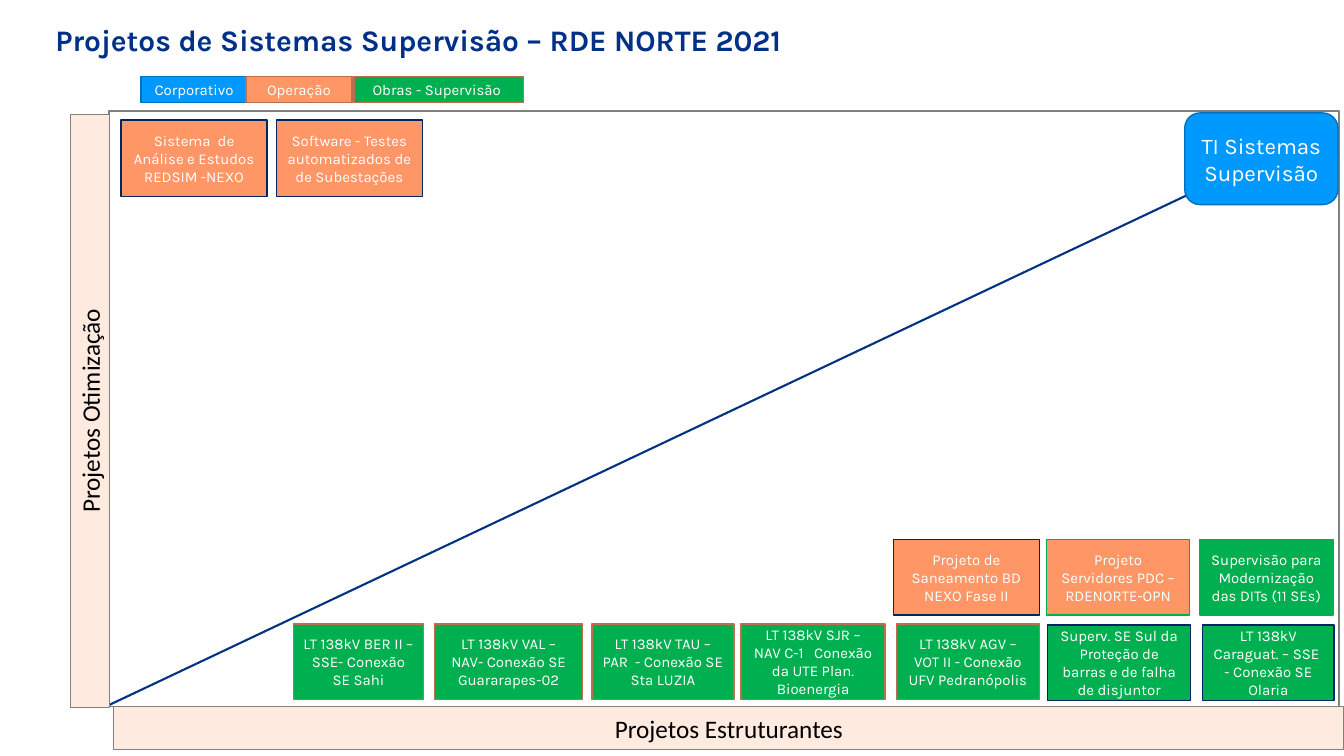
import pptx
import pptx.util
import pptx.dml.color
import pptx.enum.shapes
import pptx.enum.text
from dataclasses import dataclass
from lxml import etree
from pptx.util import Inches

SHAPE = pptx.enum.shapes.MSO_SHAPE
ALIGN = pptx.enum.text.PP_ALIGN
MIDDLE = pptx.enum.text.MSO_ANCHOR.MIDDLE


@dataclass(frozen=True)
class Theme:
    navy: str = "003087"
    diagonal: str = "003381"
    dark_navy: str = "002464"
    blue: str = "0099FF"
    blue_edge: str = "0071BD"
    orange: str = "FE9666"
    brown: str = "BC6F4B"
    green: str = "00B050"
    peach: str = "FFEAE0"
    gray: str = "808080"
    white: str = "FFFFFF"
    black: str = "000000"
    body_font: str = "Karla"
    axis_font: str = "Calibri"
    title_size: float = 21.3
    axis_size: float = 18
    topic_size: float = 16
    label_size: float = 10.7


THEME = Theme()


def color(value):
    return pptx.dml.color.RGBColor.from_string(value)


def write(shape, text, size, ink, font=THEME.body_font, bold=False,
          align=ALIGN.CENTER, insets=(0.1, 0.05), spacing=1.0):
    frame = shape.text_frame
    side, end = map(Inches, insets)
    layout = {"word_wrap": True, "vertical_anchor": MIDDLE, "margin_left": side,
              "margin_right": side, "margin_top": end, "margin_bottom": end}
    for name, value in layout.items():
        setattr(frame, name, value)
    para = frame.paragraphs[0]
    para.alignment = align
    para.line_spacing = spacing
    span = para.add_run()
    span.text = text
    for name, value in {"name": font, "size": pptx.util.Pt(size), "bold": bold}.items():
        setattr(span.font, name, value)
    span.font.color.rgb = color(ink)


def add_box(page, place, fill, line, width=1, kind=SHAPE.RECTANGLE):
    box = page.shapes.add_shape(kind, *map(Inches, place))
    box.shadow.inherit = False
    if fill:
        box.fill.solid()
        box.fill.fore_color.rgb = color(fill)
    else:
        box.fill.background()
    box.line.color.rgb = color(line)
    box.line.width = pptx.util.Pt(width)
    return box


def add_label(page, text, place, fill, line):
    write(add_box(page, place, fill, line), text, THEME.label_size, THEME.white)


def add_axis(page, text, place, rotation=0):
    box = add_box(page, place, THEME.peach, THEME.gray, 0.75)
    box.rotation = rotation
    write(box, text, THEME.axis_size, THEME.black, THEME.axis_font, insets=(0.08, 0.04))


def add_diagonal(page, start, end):
    line = page.shapes.add_connector(pptx.enum.shapes.MSO_CONNECTOR.STRAIGHT,
                                     *map(Inches, start + end))
    line.line.color.rgb = color(THEME.diagonal)
    line.line.width = pptx.util.Pt(1.5)
    etree.SubElement(line._element.spPr, pptx.oxml.ns.qn("a:effectLst"))


def add_title(page, text):
    box = page.shapes.add_textbox(*map(Inches, (0.45, 0.28, 11.09, 0.28)))
    write(box, text, THEME.title_size, THEME.navy, bold=True, align=ALIGN.LEFT, spacing=0.9)


def add_row(page, top, height, projects):
    for text, left, width, fill, line in projects:
        add_label(page, text, (left, top, width, height), fill, line)


def main():
    deck = pptx.Presentation()
    deck.slide_width, deck.slide_height = Inches(13.33), Inches(7.5)
    page = deck.slides.add_slide(deck.slide_layouts[6])
    blue, orange, green = THEME.blue, THEME.orange, THEME.green
    brown, navy = THEME.brown, THEME.dark_navy

    # Chart area, diagonal and topic
    add_diagonal(page, (1.07, 7), (13.14, 1.29))
    add_box(page, (1.08, 1.1, 12.2, 5.91), None, THEME.gray)
    topic = add_box(page, (11.75, 1.12, 1.52, 0.91), blue, THEME.blue_edge,
                    kind=SHAPE.ROUNDED_RECTANGLE)
    write(topic, "TI Sistemas Supervisão", THEME.topic_size, THEME.white)

    # Title and axes
    add_title(page, "Projetos de Sistemas Supervisão – RDE NORTE 2021")
    add_axis(page, "Projetos Otimização", (-2.05, 3.88, 5.88, 0.39), 270)
    add_axis(page, "Projetos Estruturantes", (1.13, 7.01, 12.2, 0.43))

    # Legend
    add_row(page, 0.76, 0.26, [
        ("Corporativo", 1.4, 1.05, blue, THEME.blue_edge),
        ("Operação", 2.44, 1.05, orange, brown),
        ("Obras - Supervisão ", 3.51, 1.68, green, brown),
    ])

    # Optimisation projects
    add_row(page, 1.19, 0.76, [
        ("Sistema  de Análise e Estudos REDSIM -NEXO", 1.2, 1.45, orange, navy),
        ("Software - Testes automatizados de de Subestações", 2.74, 1.45, orange, navy),
    ])

    # Structural projects, upper row
    add_row(page, 5.35, 0.75, [
        ("Projeto de Saneamento BD NEXO Fase II", 8.86, 1.45, orange, navy),
        ("Projeto Servidores PDC – RDENORTE-OPN", 10.38, 1.42, orange, green),
        ("Supervisão para Modernização das DITs (11 SEs)", 11.9, 1.32, green, green),
    ])

    # Structural projects, lower row
    add_row(page, 6.19, 0.75, [
        ("LT 138kV BER II – SSE- Conexão SE Sahi", 2.91, 1.29, green, brown),
        ("LT 138kV VAL – NAV- Conexão SE Guararapes-02", 4.31, 1.47, green, brown),
        ("LT 138kV TAU – PAR  - Conexão SE Sta LUZIA", 5.87, 1.41, green, brown),
        ("LT 138kV SJR – NAV C-1   Conexão da UTE Plan. Bioenergia", 7.35, 1.43, green, brown),
        ("LT 138kV AGV – VOT II - Conexão UFV Pedranópolis", 8.89, 1.42, green, brown),
    ])
    add_row(page, 6.2, 0.75, [
        ("Superv. SE Sul da Proteção de barras e de falha de disjuntor", 10.39, 1.42, green, navy),
        ("LT 138kV Caraguat. – SSE  - Conexão SE Olaria", 11.93, 1.3, green, navy),
    ])

    deck.save("out.pptx")


if __name__ == "__main__":
    main()
